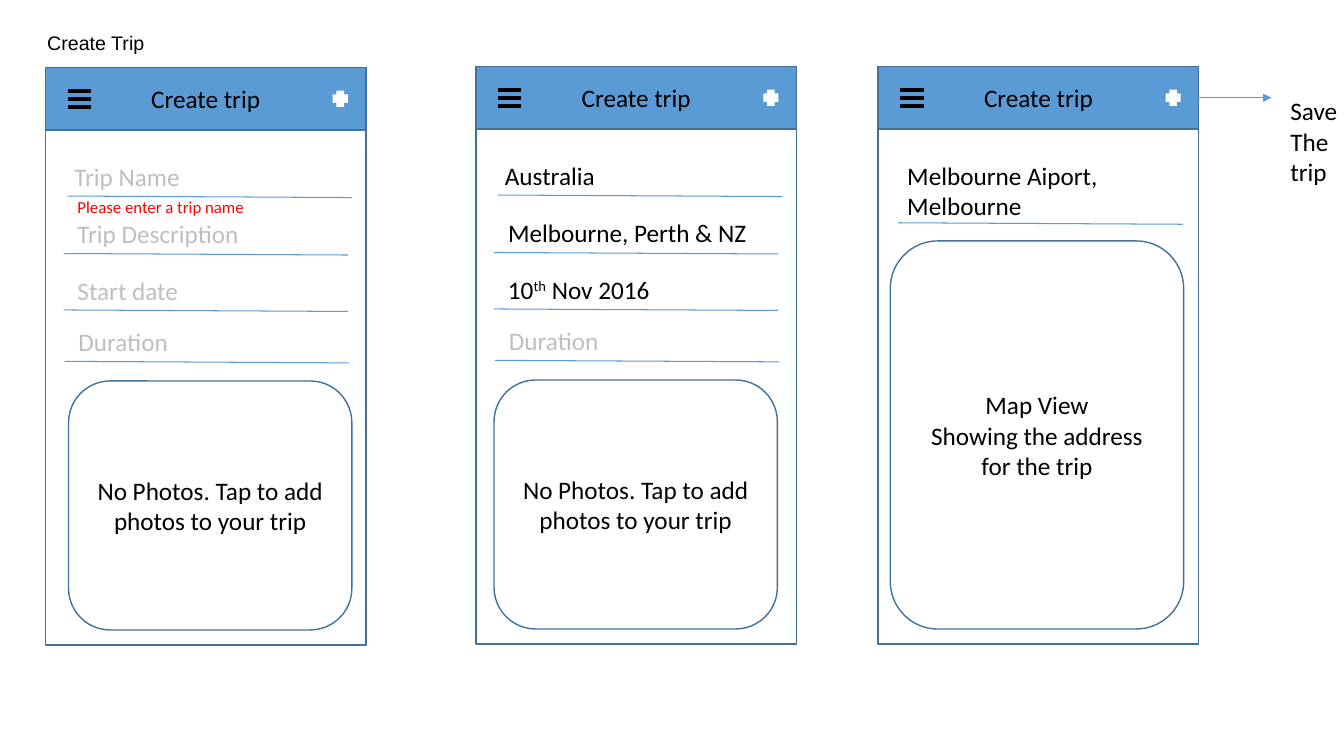
from lxml.etree import SubElement
from pptx import Presentation
from pptx.dml.color import RGBColor
from pptx.enum.shapes import MSO_CONNECTOR as LINK, MSO_SHAPE as SHAPE
from pptx.enum.text import MSO_ANCHOR as ANCHOR, PP_ALIGN as ALIGN
from pptx.oxml.ns import qn
from pptx.util import Inches, Pt

BLUE, OUTLINE = "5B9BD5", "42719B"
BLACK, WHITE, GREY, RED = "000000", "FFFFFF", "BFBFBF", "FF0000"
PHONE_W, PHONE_H, HEADER_H = 3.18, 5.73, 0.62
FIELD_W, FIELD_H = 2.82, 0.4
PHOTOS = ["No Photos. Tap to add", "photos to your trip"]
FIELD_ROWS = [(0.19, 0.22, 0.88), (0.22, 0.18, 1.45),
              (0.22, 0.18, 2.01), (0.23, 0.19, 2.52)]


def rgb(color):
    return RGBColor.from_string(color)


def write(frame, lines, color=BLACK, size=18, font="Calibri", align=ALIGN.LEFT):
    for index, line in enumerate(lines):
        paragraph = frame.paragraphs[0] if index == 0 else frame.add_paragraph()
        paragraph.alignment = align
        for part in [line] if isinstance(line, str) else line:
            raised = part.startswith("^")
            run = paragraph.add_run()
            run.text = part.lstrip("^")
            run.font.size = Pt(size)
            run.font.name = font
            run.font.color.rgb = rgb(color)
            if raised:
                run.font._element.set("baseline", "30000")


def add_label(shapes, box, lines, margin=0.05, **style):
    label = shapes.add_textbox(*map(Inches, box))
    frame = label.text_frame
    frame.word_wrap = False
    frame.margin_top = frame.margin_bottom = Inches(margin)
    write(frame, lines, **style)


def add_box(shapes, kind, box, fill=None, line=OUTLINE, lines=(), corner=None):
    panel = shapes.add_shape(kind, *map(Inches, box))
    panel.shadow.inherit = False
    if fill:
        panel.fill.solid()
        panel.fill.fore_color.rgb = rgb(fill)
    else:
        panel.fill.background()
    if line:
        panel.line.color.rgb = rgb(line)
        panel.line.width = Pt(1)
    else:
        panel.line.fill.background()
    if corner:
        panel.adjustments[0] = corner
    panel.text_frame.word_wrap = True
    panel.text_frame.vertical_anchor = ANCHOR.MIDDLE
    write(panel.text_frame, lines, align=ALIGN.CENTER)


def add_line(shapes, start, end, color=BLUE, width=0.75, arrow=False):
    link = shapes.add_connector(LINK.STRAIGHT, *map(Inches, start + end))
    link.line.color.rgb = rgb(color)
    link.line.width = Pt(width)
    if arrow:
        SubElement(link.line._get_or_add_ln(), qn("a:tailEnd"), type="triangle")
    SubElement(link._element.spPr, qn("a:effectLst"))


def add_underline(shapes, left, top):
    add_line(shapes, (left, top), (left + FIELD_W, top + 0.015))


def add_phone(shapes, left, top):
    add_box(shapes, SHAPE.RECTANGLE, (left, top, PHONE_W, PHONE_H))
    add_box(shapes, SHAPE.RECTANGLE, (left, top, PHONE_W, HEADER_H),
            fill=BLUE, lines=["Create trip"])
    menu = shapes.add_group_shape().shapes
    for bar in range(3):
        y = top + 0.23 + 0.08 * bar
        add_line(menu, (left + 0.22, y), (left + 0.45, y), BLACK, 3)
    add_box(shapes, SHAPE.CROSS, (left + 2.85, top + 0.23, 0.15, 0.16),
            fill=WHITE, line=None, corner=0.25)


def add_form_phone(shapes, left, top, fields, photos_left):
    add_phone(shapes, left, top)
    for (text_x, line_x, y), (value, color, width) in zip(FIELD_ROWS, fields):
        field = shapes.add_group_shape().shapes
        add_underline(field, left + line_x, top + y + 0.395)
        add_label(field, (left + text_x, top + y, width, FIELD_H), [value], color=color)
    add_box(shapes, SHAPE.ROUNDED_RECTANGLE, (left + photos_left, top + 3.11, 2.81, 2.47),
            lines=PHOTOS, corner=0.167)


def add_map_phone(shapes, left, top):
    add_phone(shapes, left, top)
    add_underline(shapes, left + 0.2, top + 1.55)
    add_label(shapes, (left + 0.19, top + 0.88, 2.17, 0.71),
              ["Melbourne Aiport,", "Melbourne"])
    add_box(shapes, SHAPE.ROUNDED_RECTANGLE, (left + 0.12, top + 1.73, 2.91, 3.85),
            lines=["Map View", "Showing the address for the trip"], corner=0.162)
    arrow_y = top + 0.31
    add_line(shapes, (left + 3.02, arrow_y), (left + 3.9, arrow_y), arrow=True)
    add_label(shapes, (left + 3.99, top + 0.24, 0.67, 1.01), ["Save", "The", "trip"])


def main():
    deck = Presentation()
    deck.slide_width, deck.slide_height = Inches(13.33), Inches(7.5)
    shapes = deck.slides.add_slide(deck.slide_layouts[6]).shapes
    empty_fields = [("Trip Name", GREY, 1.26), ("Trip Description", GREY, 1.82),
                    ("Start date", GREY, 1.21), ("Duration", GREY, 1.1)]
    filled_fields = [("Australia", BLACK, 1.1), ("Melbourne, Perth & NZ", BLACK, 2.59),
                     (("10", "^th", " Nov 2016"), BLACK, 1.7), ("Duration", GREY, 1.1)]
    add_form_phone(shapes, 0.45, 0.67, empty_fields, 0.23)
    add_label(shapes, (0.67, 1.9, 1.87, 0.3), ["Please enter a trip name"],
              color=RED, size=12)
    add_form_phone(shapes, 4.72, 0.66, filled_fields, 0.18)
    add_map_phone(shapes, 8.71, 0.66)
    add_label(shapes, (0.37, 0.21, 1.33, 0.39), ["Create Trip"],
              margin=0.1, size=14, font="Arial")
    deck.save("out.pptx")


if __name__ == "__main__":
    main()
